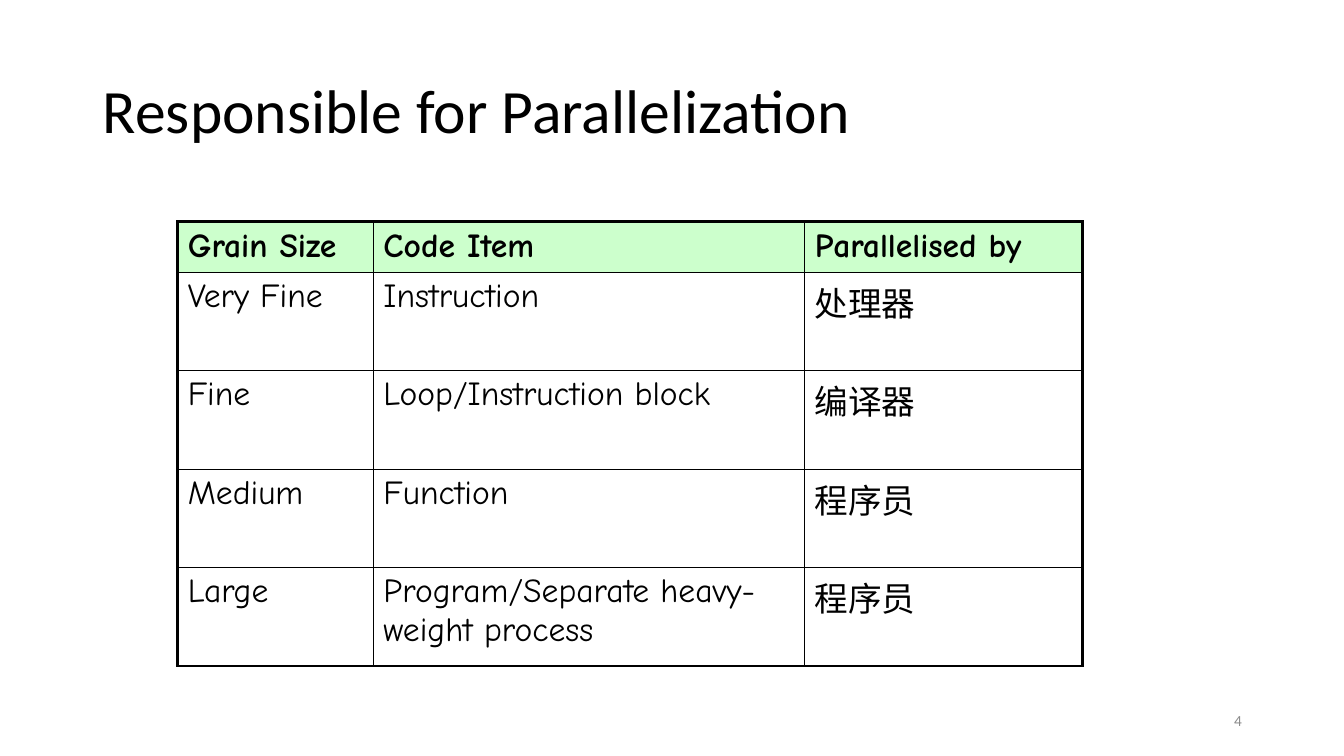
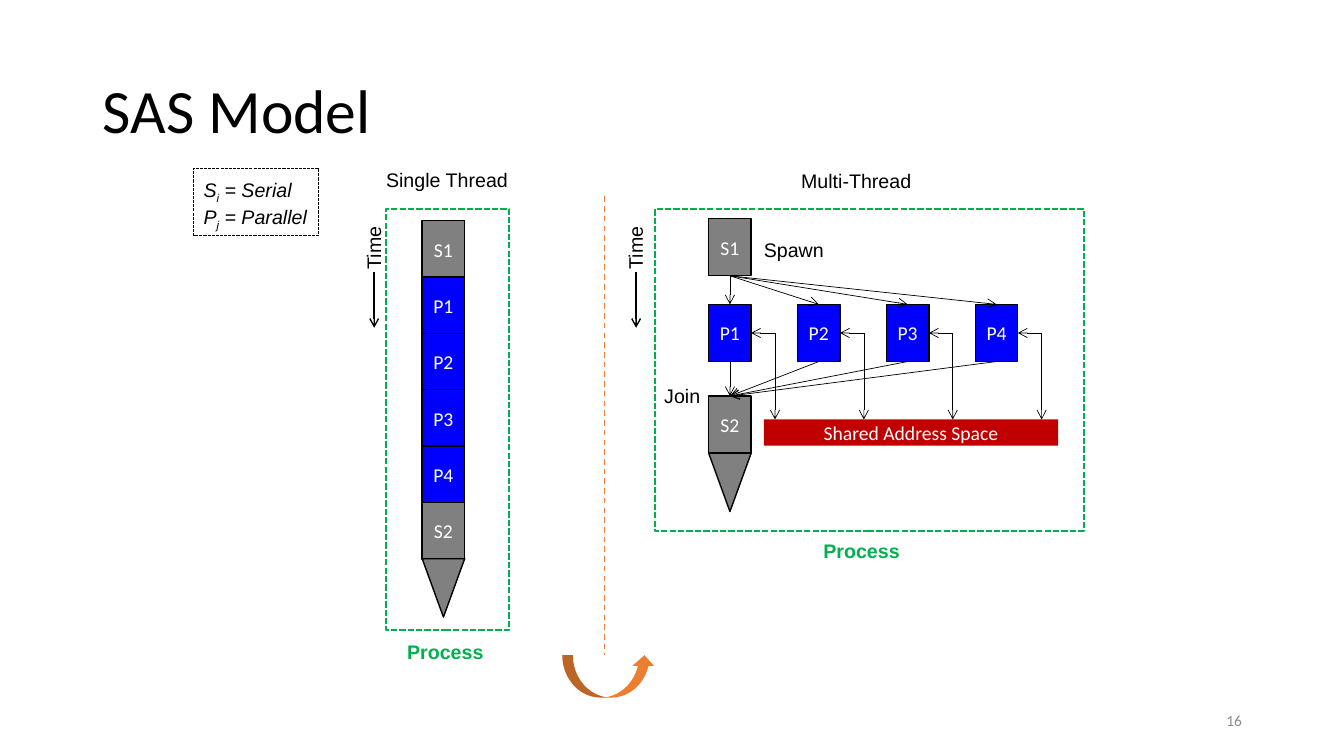
from lxml import etree
from pptx import Presentation
from pptx import util as u
from pptx.dml.color import RGBColor
from pptx.enum import dml, shapes, text
from pptx.oxml import ns

BLACK = RGBColor(0, 0, 0)
WHITE = RGBColor(255, 255, 255)
GREY = RGBColor(0x80, 0x80, 0x80)
PALE = RGBColor(0x8C, 0x8C, 0x8C)
BLUE = RGBColor(0, 0, 255)
GREEN = RGBColor(0, 0xB0, 0x50)
MINT = RGBColor(0xCC, 0xFF, 0xCC)
RED = RGBColor(0xC0, 0, 0)
ORANGE = RGBColor(0xED, 0x7D, 0x31)

KIND = shapes.MSO_SHAPE
DASH = dml.MSO_LINE
ALIGN = text.PP_ALIGN
MID = text.MSO_ANCHOR.MIDDLE

WIDE, HIGH = 33.87, 19.05
BLOCK_W, BLOCK_H, TIP_H = 1.07, 1.44, 1.47


def cm(*vals):
    return [u.Cm(v) for v in vals]


def style(run, size, face, tint, bold=False, slant=False):
    font = run.font
    font.size, font.name = u.Pt(size), face
    font.bold, font.italic = bold, slant
    font.color.rgb = tint


def write(frame, words, size, face, tint, align=ALIGN.LEFT, bold=False):
    frame.text = words
    for para in frame.paragraphs:
        para.alignment = align
        for run in para.runs:
            style(run, size, face, tint, bold)


def inset(frame, side, ends):
    frame.margin_left = frame.margin_right = u.Cm(side)
    frame.margin_top = frame.margin_bottom = u.Cm(ends)


# Shared slide parts
def new_slide(deck, title, number):
    slide = deck.slides.add_slide(deck.slide_layouts[5])
    head = slide.shapes.title
    head.left, head.top, head.width, head.height = cm(2.34, 1.02, 29.21, 3.68)
    frame = head.text_frame
    write(frame, title, 44, "Calibri", BLACK)
    frame.vertical_anchor = MID
    frame.paragraphs[0].line_spacing = 0.9

    foot = slide.shapes.add_textbox(*cm(23.93, 17.65, 7.62, 1.02)).text_frame
    foot.word_wrap = True
    foot.vertical_anchor = MID
    write(foot, number, 11, "Calibri", PALE, ALIGN.RIGHT)
    return slide


def add_shape(slide, kind, box, fill=None, edge=None, width=1, dash=None):
    part = slide.shapes.add_shape(kind, *cm(*box))
    part.shadow.inherit = False
    if fill is None:
        part.fill.background()
    else:
        part.fill.solid()
        part.fill.fore_color.rgb = fill
    if edge is None:
        part.line.fill.background()
    else:
        part.line.color.rgb = edge
        part.line.width = u.Pt(width)
        if dash:
            part.line.dash_style = dash
    return part


def add_block(slide, words, box, fill, edge=BLACK):
    part = add_shape(slide, KIND.RECTANGLE, box, fill, edge)
    frame = part.text_frame
    frame.word_wrap = True
    inset(frame, 0, 0.13)
    frame.vertical_anchor = MID
    write(frame, words, 14, "Calibri", WHITE, ALIGN.CENTER)
    return part


def add_step(slide, words, x, y):
    fill = BLUE if words.startswith("P") else GREY
    return add_block(slide, words, (x, y, BLOCK_W, BLOCK_H), fill)


def add_tip(slide, x, y):
    box = (x, y, BLOCK_W, TIP_H)
    tip = add_shape(slide, KIND.ISOSCELES_TRIANGLE, box, GREY, BLACK)
    tip.rotation = 180


def add_label(slide, words, x, y, width, tint=BLACK, bold=False):
    part = slide.shapes.add_textbox(*cm(x, y, width, 0.61))
    inset(part.text_frame, 0, 0)
    part.text_frame.word_wrap = False
    write(part.text_frame, words, 14, "Arial", tint, bold=bold)
    return part


def add_line(slide, ends, tint=BLACK, width=0.5, dash=None, arrow=True,
             start=None, stop=None):
    """start and stop are (shape, side) pairs to join."""
    line = slide.shapes.add_connector(shapes.MSO_CONNECTOR.STRAIGHT, *cm(*ends))
    if start:
        line.begin_connect(*start)
    if stop:
        line.end_connect(*stop)
    line.line.color.rgb = tint
    line.line.width = u.Pt(width)
    if dash:
        line.line.dash_style = dash
    props = line._element.spPr
    if arrow:
        etree.SubElement(props.find(ns.qn("a:ln")), ns.qn("a:tailEnd"), type="arrow")
    etree.SubElement(props, ns.qn("a:effectLst"))


def join(slide, start, stop):
    add_line(slide, (0, 0, 0, 0), start=start, stop=stop)


# Table of grain sizes
def add_edge(cell, side, width):
    props = cell._tc.get_or_add_tcPr()
    edge = etree.SubElement(props, ns.qn("a:ln" + side), w=str(u.Pt(width)))
    fill = etree.SubElement(edge, ns.qn("a:solidFill"))
    etree.SubElement(fill, ns.qn("a:srgbClr"), val=str(BLACK))


def add_grid(slide, x, y, rows, cols, heights):
    count, last = len(rows), len(cols) - 1
    box = cm(x, y, sum(cols), sum(heights))
    table = slide.shapes.add_table(count, len(cols), *box).table
    table.first_row = table.horz_banding = False
    for col, width in zip(table.columns, cols):
        col.width = u.Cm(width)
    for row, height in zip(table.rows, heights):
        row.height = u.Cm(height)
    for r, row in enumerate(rows):
        for c, words in enumerate(row):
            cell = table.cell(r, c)
            outer = {"L": c == 0, "R": c == last, "T": r == 0, "B": r == count - 1}
            for side, thick in outer.items():
                add_edge(cell, side, 2.25 if thick else 1)
            if r == 0:
                cell.fill.solid()
                cell.fill.fore_color.rgb = MINT
            else:
                cell.fill.background()
            write(cell.text_frame, words, 24, "Comic Neue", BLACK, bold=r == 0)


def grain_slide(deck):
    slide = new_slide(deck, "Responsible for Parallelization", "4")
    rows = [
        ("Grain Size", "Code Item", "Parallelised by"),
        ("Very Fine", "Instruction", "处理器"),
        ("Fine", "Loop/Instruction block", "编译器"),
        ("Medium", "Function", "程序员"),
        ("Large", "Program/Separate heavy-weight process", "程序员"),
    ]
    add_grid(slide, 4.48, 5.59, rows, (4.93, 10.87, 7.01), [1.22] + [2.48] * 4)


# Parts of the thread model
def add_legend(slide, box):
    part = add_shape(slide, KIND.RECTANGLE, box, None, BLACK, 0.75, DASH.SQUARE_DOT)
    frame = part.text_frame
    frame.word_wrap = False
    frame.vertical_anchor = text.MSO_ANCHOR.TOP
    inset(frame, 0.25, 0.25)
    frame.text = "\n"
    items = (("S", "i", " = Serial"), ("P", "j", " = Parallel"))
    for para, words in zip(frame.paragraphs, items):
        para.alignment = ALIGN.LEFT
        for place, word in enumerate(words):
            run = para.add_run()
            run.text = word
            style(run, 14, "Arial", BLACK, slant=True)
            if place == 1:
                run.font._element.set("baseline", "-25000")


def add_frame(slide, box):
    add_shape(slide, KIND.RECTANGLE, box, None, GREEN, 1.5, DASH.SQUARE_DOT)


def add_clock(slide, x, y):
    add_label(slide, "Time", x - 0.56, y, 1.09).rotation = 270
    add_line(slide, (x, y + 0.92, x, y + 2.32), width=1)


def add_single(slide, box):
    x, y, _, high = box
    add_frame(slide, box)
    add_label(slide, "Single Thread", x, y - 1.02, 3.1)
    add_label(slide, "Process", x + 0.53, y + high + 0.25, 1.93, GREEN, True)
    add_clock(slide, x - 0.3, y + 0.68)
    left, top, pitch = x + 0.91, y + 0.3, 1.42
    steps = ("S1", "P1", "P2", "P3", "P4", "S2")
    for i, words in enumerate(steps):
        add_step(slide, words, left, top + i * pitch)
    add_tip(slide, left, top + len(steps) * pitch)


def add_multi(slide, box):
    x, y, _, high = box
    add_frame(slide, box)
    add_label(slide, "Multi-Thread", x + 3.68, y - 1, 2.79)
    add_label(slide, "Process", x + 4.24, y + high + 0.2, 1.93, GREEN, True)
    add_clock(slide, x - 0.48, y + 0.68)

    # Serial steps and shared memory
    left, row, pitch = x + 1.35, y + 2.41, 2.24
    first = add_step(slide, "S1", left, y + 0.25)
    last = add_step(slide, "S2", left, y + 4.72)
    add_tip(slide, left, y + 4.72 + BLOCK_H)
    bar = y + 5.31
    add_block(slide, "Shared Address Space", (x + 2.74, bar, 7.42, 0.66), RED, None)
    add_label(slide, "Spawn", x + 2.74, y + 0.74, 1.52)
    add_label(slide, "Join", x + 0.23, y + 4.42, 0.91)

    # Parallel steps with their arrows
    for i in range(4):
        near = left + i * pitch
        step = add_step(slide, f"P{i + 1}", near, row)
        join(slide, (first, 2), (step, 0))
        join(slide, (step, 2), (last, 0))
        bend, mid = near + BLOCK_W + 0.6, row + BLOCK_H / 2
        add_line(slide, (bend, mid, near + BLOCK_W, mid), stop=(step, 3))
        add_line(slide, (bend, mid, bend, bar))


def model_slide(deck):
    slide = new_slide(deck, "SAS Model", "16")
    add_legend(slide, (4.88, 4.24, 3.15, 1.7))
    add_single(slide, (9.73, 5.26, 3.1, 10.62))
    add_multi(slide, (16.51, 5.26, 10.8, 8.13))
    add_line(slide, (15.24, 4.95, 15.24, 16.51), ORANGE, 1, DASH.DASH, arrow=False)
    add_shape(slide, KIND.CURVED_UP_ARROW, (14.17, 16.51, 2.34, 1.07), ORANGE)


def main():
    deck = Presentation()
    deck.slide_width, deck.slide_height = cm(WIDE, HIGH)
    grain_slide(deck)
    model_slide(deck)
    deck.save("out.pptx")


if __name__ == "__main__":
    main()
